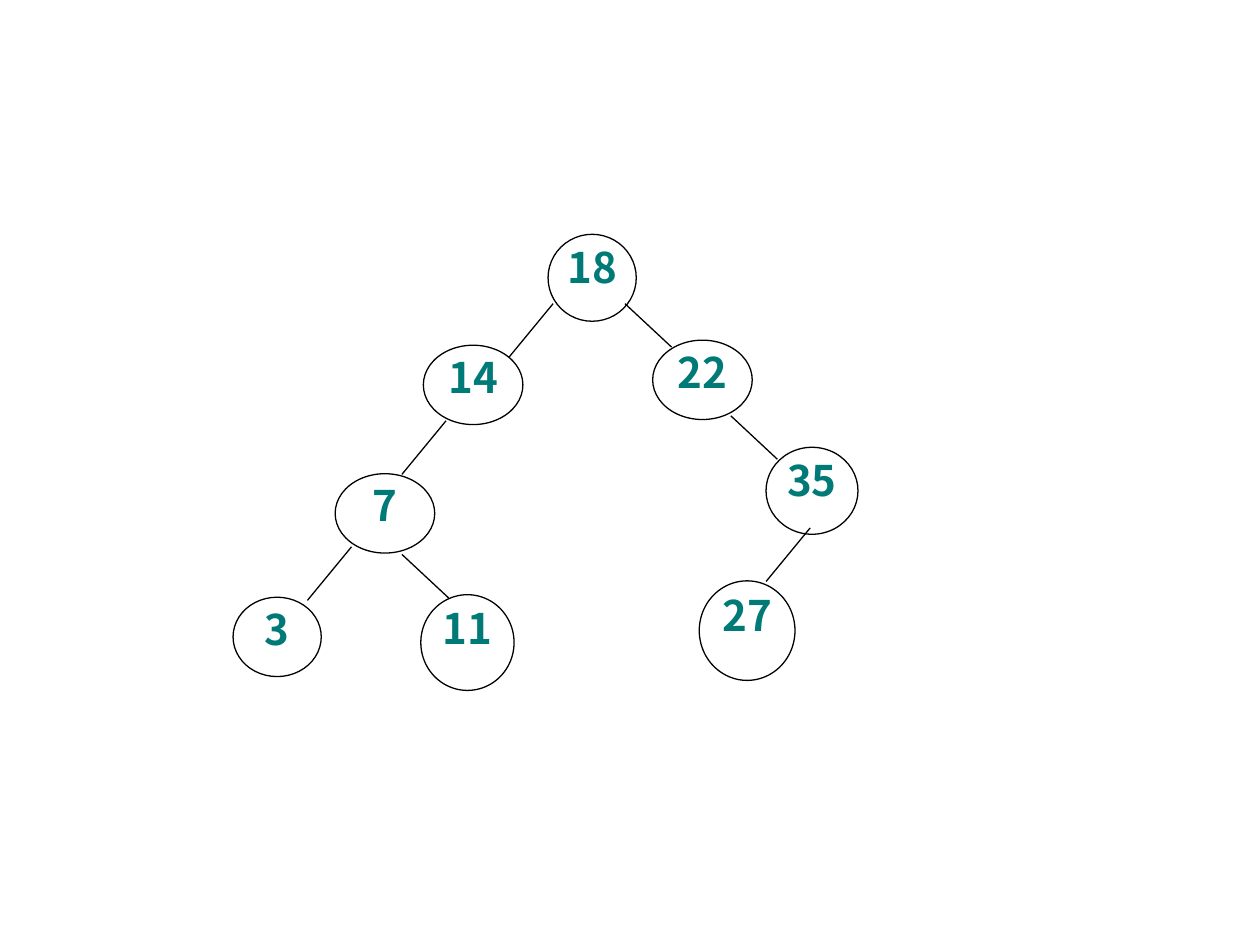
import pptx
import pptx.dml.color
import pptx.enum.shapes
import pptx.enum.text
import pptx.oxml
import pptx.oxml.ns
import pptx.util

COLUMNS, ROWS = 100, 75


def color(hex_value):
    return pptx.dml.color.RGBColor.from_string(hex_value)


def set_values(target, values):
    for name, value in values.items():
        setattr(target, name, value)


class TreeSlide:
    """Draws a tree on a grid of 100 columns and 75 rows."""

    ink, paper, key_color = "000000", "FFFFFF", "007A77"
    line_width = pptx.util.Pt(0.75)
    frame_format = {
        "margin_left": 0, "margin_top": 0, "margin_right": 0, "margin_bottom": 0,
        "word_wrap": True, "vertical_anchor": pptx.enum.text.MSO_ANCHOR.TOP,
    }
    paragraph_format = {
        "alignment": pptx.enum.text.PP_ALIGN.CENTER, "line_spacing": 0.9,
    }
    font_format = {
        "name": "Noto Sans CJK SC", "size": pptx.util.Pt(24), "bold": True,
    }

    def __init__(self, presentation):
        self.cell_width = presentation.slide_width / COLUMNS
        self.cell_height = presentation.slide_height / ROWS
        self.slide = presentation.slides.add_slide(presentation.slide_layouts[6])
        background = self.slide.background.fill
        background.solid()
        background.fore_color.rgb = color(self.paper)
        self.tree = self.slide.shapes.add_group_shape().shapes

    def place(self, column, row):
        return round(column * self.cell_width), round(row * self.cell_height)

    def outline(self, part):
        part.line.color.rgb = color(self.ink)
        part.line.width = self.line_width

    def node(self, key, column, row, width, height):
        circle = self.tree.add_shape(
            pptx.enum.shapes.MSO_SHAPE.OVAL,
            *self.place(column, row), *self.place(width, height))
        circle.shadow.inherit = False
        circle.fill.solid()
        circle.fill.fore_color.rgb = color(self.paper)
        self.outline(circle)
        set_values(circle.text_frame, self.frame_format)
        paragraph = circle.text_frame.paragraphs[0]
        set_values(paragraph, self.paragraph_format)
        label = paragraph.add_run()
        label.text = str(key)
        set_values(label.font, self.font_format)
        label.font.color.rgb = color(self.key_color)

    def edge(self, column, row, step):
        across, down = step
        branch = self.tree.add_connector(
            pptx.enum.shapes.MSO_CONNECTOR.STRAIGHT,
            *self.place(column, row), *self.place(column + across, row + down))
        self.outline(branch)
        branch._element.spPr.append(
            pptx.oxml.parse_xml(f"<a:effectLst {pptx.oxml.ns.nsdecls('a')}/>"))


# Key, left column, top row, width, height
NODES = [
    (18, 43.5, 18.6, 7, 6.9),
    (14, 33.6, 27.4, 7.9, 6.3),
    (22, 51.8, 27, 7.9, 6.3),
    (7, 26.6, 37.6, 7.9, 6.3),
    (35, 60.8, 35.5, 7.3, 6.9),
    (3, 18.5, 47.4, 7, 6.3),
    (11, 33.4, 47.2, 7.4, 7.6),
    (27, 55.5, 46.1, 7.6, 7.9),
]

# Every branch to a left or right child has the same slope and length
LEFT, RIGHT = (-3.5, 4.25), (3.7, 3.45)
EDGES = [
    (43.9, 24.1, LEFT),
    (49.6, 24.1, RIGHT),
    (35.4, 33.4, LEFT),
    (58, 33, RIGHT),
    (27.9, 43.4, LEFT),
    (64.3, 41.9, LEFT),
    (31.9, 44, RIGHT),
]


def main():
    presentation = pptx.Presentation()
    set_values(presentation, {
        "slide_width": pptx.util.Inches(10), "slide_height": pptx.util.Inches(7.5)})
    search_tree = TreeSlide(presentation)

    # Keys
    for node in NODES:
        search_tree.node(*node)

    # Branches
    for edge in EDGES:
        search_tree.edge(*edge)

    presentation.save("out.pptx")


if __name__ == "__main__":
    main()
